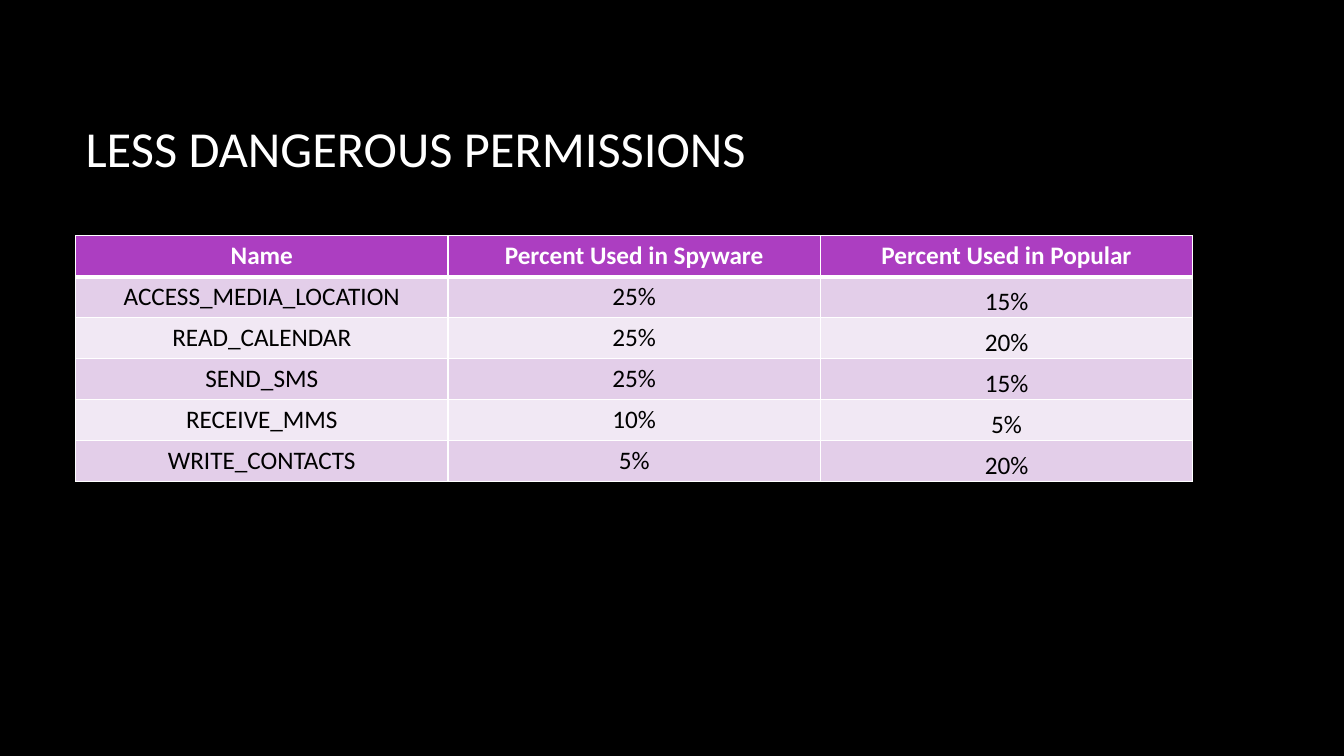
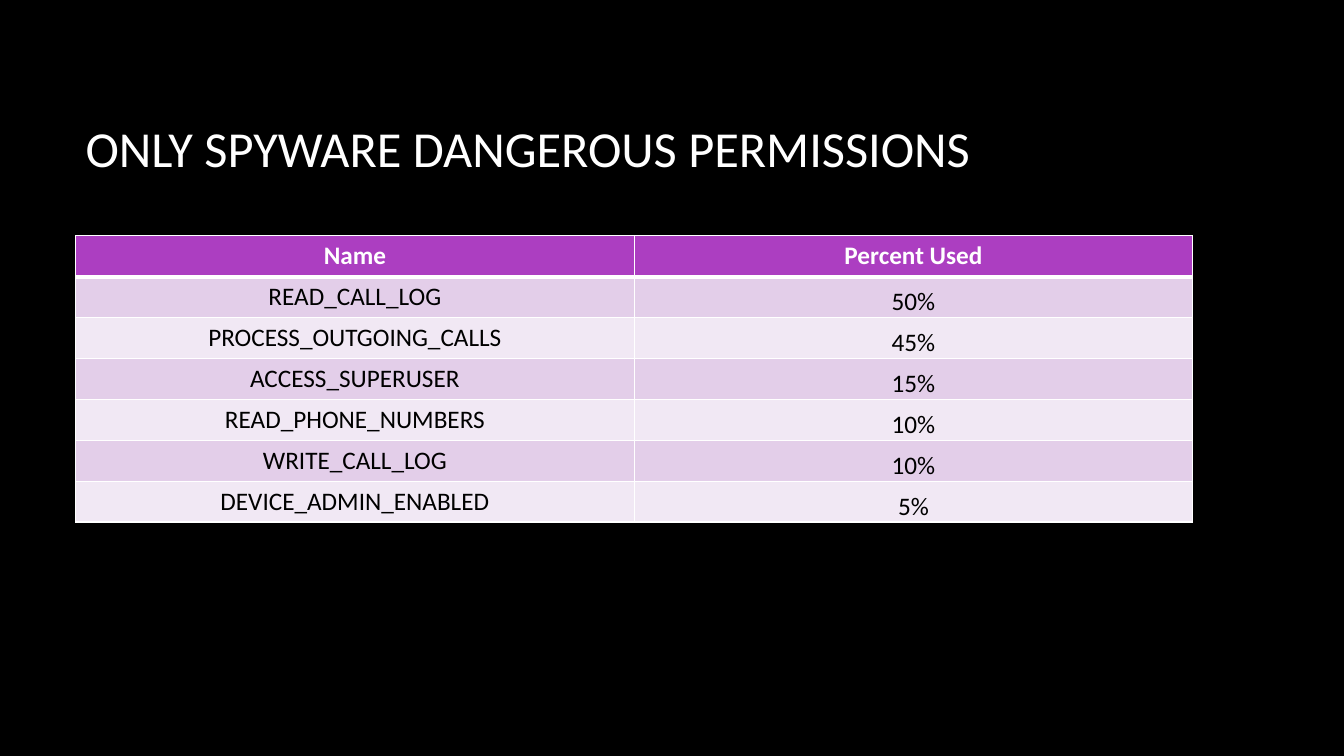
from dataclasses import dataclass

from pptx import Presentation
from pptx.dml.color import RGBColor
from pptx.enum.text import MSO_ANCHOR, PP_ALIGN
from pptx.oxml.ns import qn
from pptx.util import Inches, Pt
from lxml.etree import SubElement


@dataclass(frozen=True)
class Theme:
    font: str = "Calibri"
    title_size: int = 36
    cell_size: int = 18
    black: str = "000000"
    white: str = "FFFFFF"
    header: str = "AC3EC1"
    bands: tuple = ("E3CEE9", "F1E8F4")
    thin: int = 1
    thick: int = 3


theme = Theme()


def write(tf, text, size, color, bold=False, align=PP_ALIGN.LEFT,
          anchor=MSO_ANCHOR.MIDDLE):
    tf.word_wrap = True
    tf.vertical_anchor = anchor
    p = tf.paragraphs[0]
    p.alignment = align
    r = p.add_run()
    r.text = text
    r.font.name = theme.font
    r.font.size = Pt(size)
    r.font.bold = bold
    r.font.color.rgb = RGBColor.from_string(color)


def set_borders(cell, **widths):
    tcPr = cell._tc.get_or_add_tcPr()
    for side in "LRTB":
        ln = SubElement(tcPr, qn(f"a:ln{side}"),
                        w=str(Pt(widths.get(side, theme.thin))))
        fill = SubElement(ln, qn("a:solidFill"))
        SubElement(fill, qn("a:srgbClr"), val=theme.white)


# Content: title, then table rows with the header first
pages = [
    ("LESS DANGEROUS PERMISSIONS", [
        ("Name", "Percent Used in Spyware", "Percent Used in Popular"),
        ("ACCESS_MEDIA_LOCATION", "25%", "15%"),
        ("READ_CALENDAR", "25%", "20%"),
        ("SEND_SMS", "25%", "15%"),
        ("RECEIVE_MMS", "10%", "5%"),
        ("WRITE_CONTACTS", "5%", "20%"),
    ]),
    ("ONLY SPYWARE DANGEROUS PERMISSIONS", [
        ("Name", "Percent Used"),
        ("READ_CALL_LOG", "50%"),
        ("PROCESS_OUTGOING_CALLS", "45%"),
        ("ACCESS_SUPERUSER", "15%"),
        ("READ_PHONE_NUMBERS", "10%"),
        ("WRITE_CALL_LOG", "10%"),
        ("DEVICE_ADMIN_ENABLED", "5%"),
    ]),
]

# Presentation and shared background
prs = Presentation()
prs.slide_width, prs.slide_height = Inches(13.33), Inches(7.5)
bg = prs.slide_master.background.fill
bg.solid()
bg.fore_color.rgb = RGBColor.from_string(theme.black)

# Shared grid
left, width = Inches(0.75), Inches(11.08)
title_top, title_height = Inches(0.67), Inches(1.59)
table_top, row_height = Inches(2.34), Pt(29.2)

for title, rows in pages:
    s = prs.slides.add_slide(prs.slide_layouts[6])

    # Title
    sp = s.shapes.add_textbox(left, title_top, width, title_height)
    write(sp.text_frame, title, theme.title_size, theme.white)

    # Table
    n_rows, n_cols = len(rows), len(rows[0])
    table = s.shapes.add_table(n_rows, n_cols, left, table_top, width,
                               row_height * n_rows).table
    for i, row in enumerate(rows):
        is_header = i == 0
        color = theme.header if is_header else theme.bands[(i - 1) % 2]
        for j, text in enumerate(row):
            cell = table.cell(i, j)
            set_borders(cell,
                        T=theme.thick if i == 1 else theme.thin,
                        B=theme.thick if is_header else theme.thin)
            cell.fill.solid()
            cell.fill.fore_color.rgb = RGBColor.from_string(color)

            # The last column of figures sits on the bottom of its cells
            at_bottom = not is_header and j == n_cols - 1
            if at_bottom:
                cell.margin_left = cell.margin_right = Inches(0.01)
                cell.margin_top, cell.margin_bottom = Inches(0.01), 0
            anchor = MSO_ANCHOR.BOTTOM if at_bottom else MSO_ANCHOR.TOP
            cell.vertical_anchor = anchor
            write(cell.text_frame, text, theme.cell_size,
                  theme.white if is_header else theme.black,
                  bold=is_header, align=PP_ALIGN.CENTER, anchor=anchor)

prs.save("out.pptx")
